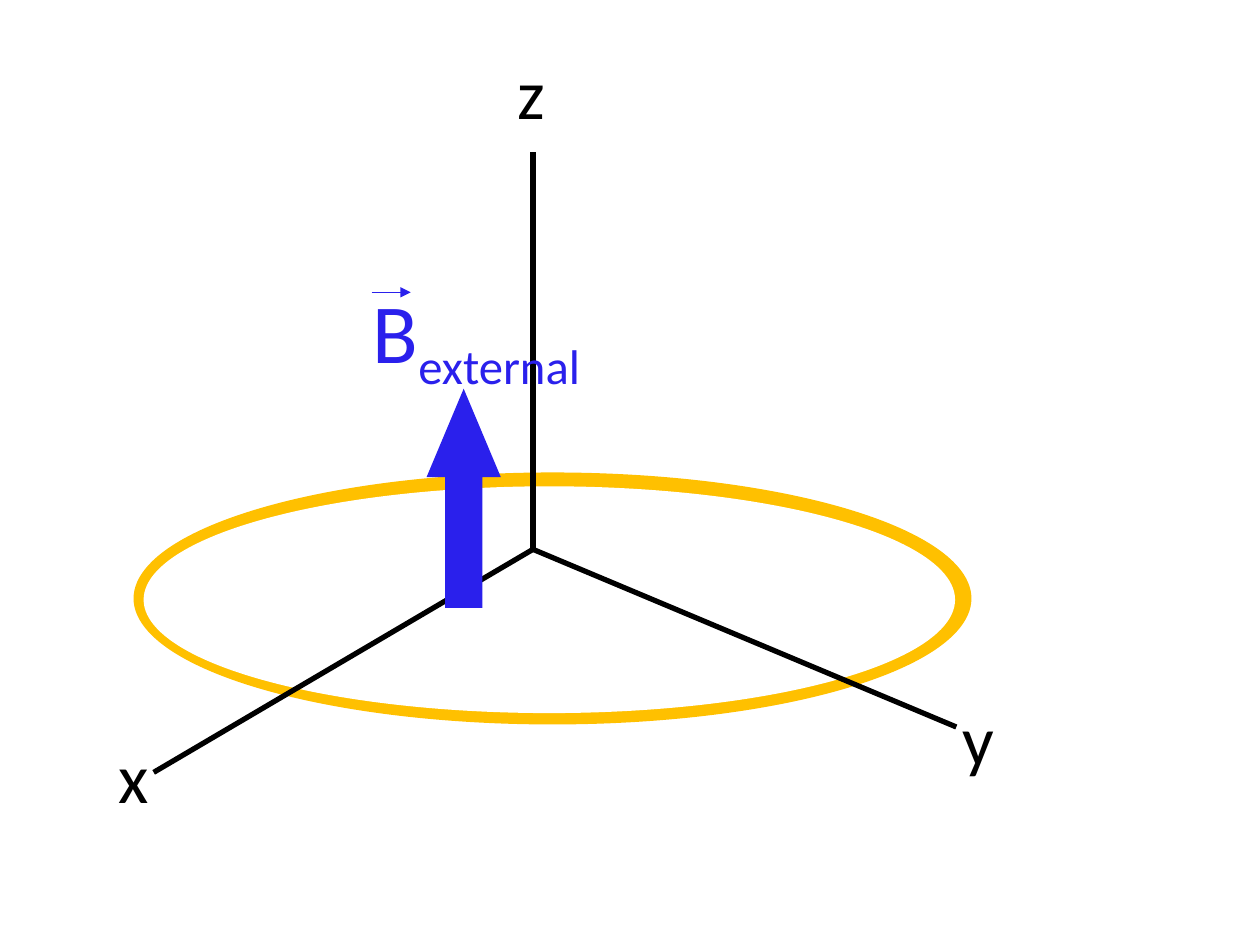
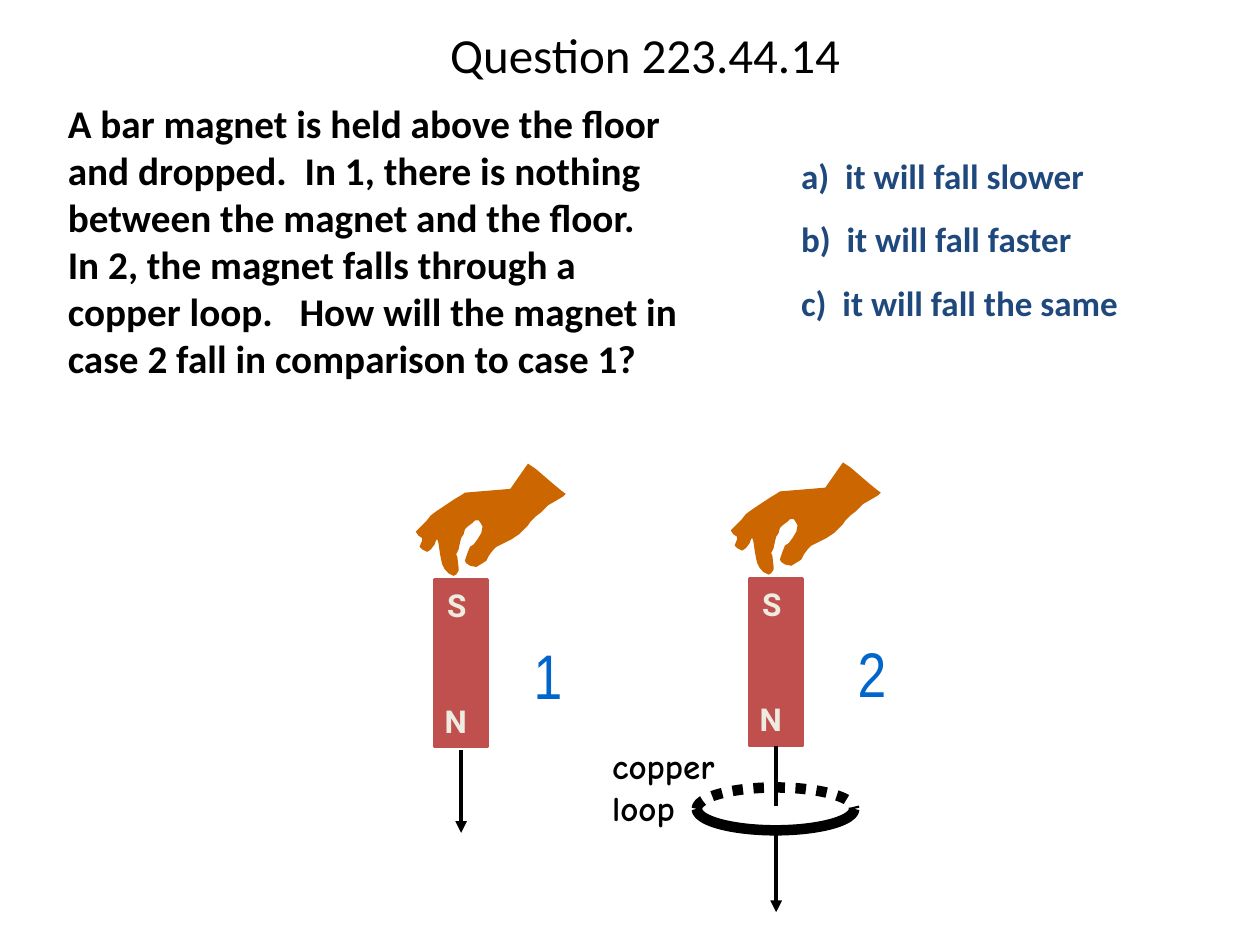
from lxml import etree
from pptx import Presentation
from pptx.dml.color import RGBColor
from pptx.enum.dml import MSO_LINE
from pptx.enum.shapes import MSO_CONNECTOR, MSO_SHAPE
from pptx.enum.text import MSO_ANCHOR, PP_ALIGN
from pptx.oxml.ns import qn
from pptx.util import Emu, Pt

STRAIGHT = MSO_CONNECTOR.STRAIGHT
OVAL, BLOCK, ARROW, ARC = (
    MSO_SHAPE.OVAL, MSO_SHAPE.RECTANGLE, MSO_SHAPE.RIGHT_ARROW, MSO_SHAPE.ARC)
DOTTED = MSO_LINE.ROUND_DOT
MIDDLE, TOP = MSO_ANCHOR.MIDDLE, MSO_ANCHOR.TOP
CENTER, LEFT = PP_ALIGN.CENTER, PP_ALIGN.LEFT

PX = 9144
DEGREE = 0.6
COLORS = {
    "black": "000000", "white": "FFFFFF", "gold": "FFC000", "field": "2A20EC",
    "magnet": "C0504D", "pole": "EEECE1", "hand": "CC6600", "digit": "0066CC",
    "answer": "1F497D",
}

RINGS = [((106, 375, 665, 200), "gold"), ((114, 386, 644, 180), "white")]
ORIGIN = (423, 436)
AXES = [
    ("z", (423, 121), (401, 34, 21, 77)),
    ("x", (122, 613), (84, 577, 38, 77)),
    ("y", (759, 577), (754, 547, 38, 77)),
]
TITLE = "Question 223.44.14"
QUESTION = (
    "A bar magnet is held above the floor and dropped.  In 1, there is nothing "
    "between the magnet and the floor.   In 2, the magnet falls through a copper "
    "loop.   How will the magnet in case 2 fall in comparison to case 1?")
ANSWERS = ["a)  it will fall slower", "b)  it will fall faster",
           "c)  it will fall the same"]
LOOP = (553, 625, 125, 34)
LOOP_HALVES = [(180, 0, DOTTED), (0, 180, None)]
CASES = [
    {"digit": "2", "magnet": (595, 459), "digit_shift": 70,
     "path": [(592, 640, False), (657, 724, True)]},
    {"digit": "1", "magnet": (345, 460), "digit_shift": 63,
     "path": [(595, 661, True)]},
]
POLES = [("N", (-2, 92, 46, 50)), ("S", (0, 0, 41, 50))]
HAND_SHIFT = (-15, -92)
HAND = [
    (34, 83), (33, 74), (32, 72), (34, 68), (35, 63), (36, 59), (38, 56),
    (39, 52), (41, 50), (45, 47), (47, 45), (50, 45), (52, 48), (53, 50),
    (52, 55), (49, 60), (46, 64), (43, 66), (41, 71), (39, 77), (40, 79),
    (43, 81), (48, 82), (53, 79), (56, 77), (58, 73), (61, 69), (64, 66),
    (68, 64), (72, 62), (76, 60), (82, 56), (85, 53), (89, 49), (91, 46),
    (95, 42), (99, 39), (105, 33), (112, 29), (117, 26), (119, 24), (115, 21),
    (109, 16), (102, 10), (95, 4), (89, 0), (75, 20), (39, 23), (36, 25),
    (31, 28), (25, 32), (19, 36), (16, 38), (12, 41), (8, 46), (4, 50),
    (0, 54), (2, 57), (5, 59), (5, 61), (3, 66), (5, 68), (9, 70), (12, 68),
    (15, 64), (16, 61), (17, 60), (18, 63), (19, 70), (20, 76), (21, 80),
    (23, 84), (26, 87), (30, 89), (32, 88), (34, 85),
]


def px(*lengths):
    return [Emu(length * PX) for length in lengths]


def rgb(name):
    return RGBColor.from_string(COLORS[name])


def paint(shape, fill=None, line=None, weight=1):
    shape.shadow.inherit = False
    if fill:
        shape.fill.solid()
        shape.fill.fore_color.rgb = rgb(fill)
    else:
        shape.fill.background()
    if line:
        shape.line.color.rgb = rgb(line)
        shape.line.width = Pt(weight)
    else:
        shape.line.fill.background()


def add_figure(page, kind, place, **style):
    shape = page.shapes.add_shape(kind, *px(*place))
    paint(shape, **style)
    return shape


def add_line(page, start, end, weight, color="black", arrow=False):
    line = page.shapes.add_connector(STRAIGHT, *px(*start, *end))
    line.line.color.rgb = rgb(color)
    line.line.width = Pt(weight)
    if arrow:
        outline = line.line._get_or_add_ln()
        etree.SubElement(outline, qn("a:tailEnd"), type="triangle")
    etree.SubElement(line._element.spPr, qn("a:effectLst"))


def add_text(page, text, place, size, font="Calibri", color="black", bold=False,
             align=LEFT, anchor=TOP, wrap=True, margin=0, indent=0,
             spacing=None, before=0):
    box = page.shapes.add_textbox(*px(*place))
    frame = box.text_frame
    frame.word_wrap = wrap
    frame.vertical_anchor = anchor
    for index, line in enumerate([text] if isinstance(text, str) else text):
        para = frame.add_paragraph() if index else frame.paragraphs[0]
        para.alignment = align
        if spacing:
            para.line_spacing = spacing
        if index and before:
            para.space_before = Pt(before)
        if margin:
            properties = para._p.get_or_add_pPr()
            properties.set("marL", str(margin * PX))
            properties.set("indent", str(indent * PX))
        span = para.add_run()
        span.text = line
        para.font.size = span.font.size = Pt(size)
        span.font.name = font
        span.font.bold = bold
        span.font.color.rgb = rgb(color)
    return box


def draw_axes(page):
    for place, color in RINGS:
        add_figure(page, OVAL, place, fill=color)
    for letter, end, place in AXES:
        add_line(page, end, ORIGIN, 3)
        add_text(page, letter, place, 40)
    field = add_figure(page, ARROW, (281, 366, 174, 59), fill="field")
    field.adjustments[0], field.adjustments[1] = 0.5, 1.19
    field.rotation = 270
    label = add_text(page, "B", (286, 217, 206, 91), 48, color="field", wrap=False)
    span = label.text_frame.paragraphs[0].add_run()
    span.text = "external"
    span.font.size = Pt(48)
    span.font.name = "Calibri"
    span.font.color.rgb = rgb("field")
    span._r.get_or_add_rPr().set("baseline", "-25000")
    add_line(page, (295, 232), (326, 232), 0.75, color="field", arrow=True)


def draw_loop(page):
    for start, end, dash in LOOP_HALVES:
        half = add_figure(page, ARC, LOOP, line="black", weight=6)
        half.adjustments[0], half.adjustments[1] = start * DEGREE, end * DEGREE
        if dash:
            half.line.dash_style = dash
    add_text(page, ["copper", "loop"], (476, 586, 107, 77), 20,
             font="Comic Neue", bold=True, wrap=False)


def draw_case(page, case):
    left, top = case["magnet"]
    add_figure(page, BLOCK, (left, top, 42, 133),
               fill="magnet", line="magnet", weight=1.5)
    for letter, (right, down, width, height) in POLES:
        add_text(page, letter, (left + right, top + down, width, height), 18,
                 font="Roboto", color="pole", bold=True, wrap=False)
    for start, end, arrow in case["path"]:
        add_line(page, (left + 21, start), (left + 21, end), 2.25, arrow=arrow)
    points = [(left + HAND_SHIFT[0] + x, top + HAND_SHIFT[1] + y) for x, y in HAND]
    outline = page.shapes.build_freeform(*points[0], scale=PX)
    outline.add_line_segments(points[1:], close=True)
    paint(outline.convert_to_shape(), fill="hand")
    add_text(page, case["digit"], (left + case["digit_shift"], top + 40, 54, 62),
             36, font="Arial Narrow", color="digit", align=CENTER, wrap=False)


def draw_question(page):
    add_text(page, TITLE, (72, 0, 880, 92), 28, align=CENTER, anchor=MIDDLE,
             spacing=0.9)
    add_text(page, QUESTION, (0, 74, 557, 262), 22.4, bold=True, margin=44)
    draw_loop(page)
    for case in CASES:
        draw_case(page, case)
    add_text(page, ANSWERS, (626, 114, 374, 153), 20, color="answer", bold=True,
             margin=31, indent=-31, spacing=1.1, before=10)


def main():
    deck = Presentation()
    deck.slide_width, deck.slide_height = px(1000, 750)
    for draw in (draw_axes, draw_question):
        draw(deck.slides.add_slide(deck.slide_layouts[6]))
    deck.save("out.pptx")


if __name__ == "__main__":
    main()
